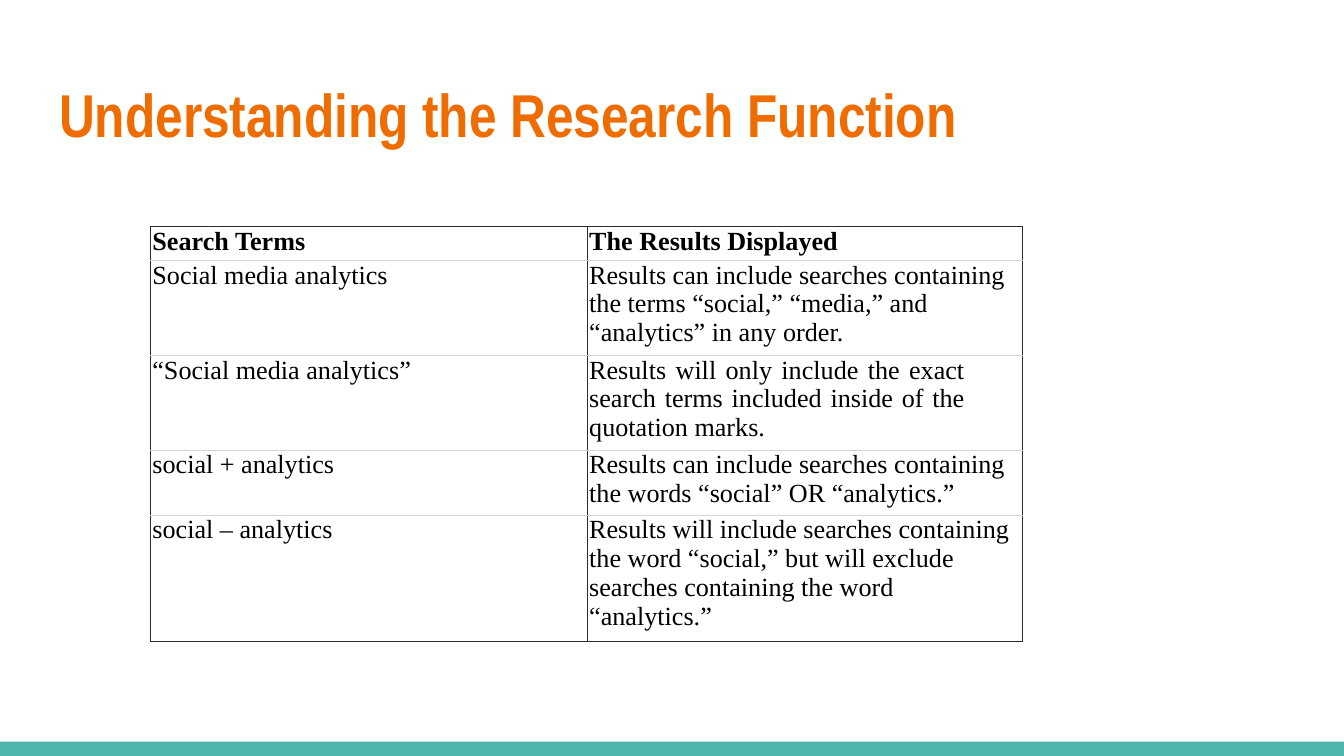
from lxml.etree import SubElement
from pptx import Presentation
from pptx.dml.color import RGBColor
from pptx.enum.shapes import MSO_SHAPE as Shape
from pptx.enum.text import MSO_ANCHOR as Anchor, PP_ALIGN as Align
from pptx.oxml.ns import qn
from pptx.util import Inches, Pt

COLORS = {
    "title": "EF6C00",
    "bar": "4DB6AC",
    "text": "000000",
    "outline": "2B2B2B",
    "rule": "D4D4D4",
}
TITLE_FONT, BODY_FONT = "Arial Narrow", "Times New Roman"

# Percent of the slide's width and height
COLUMNS = [32.5, 32.4]
ROWS = [
    (4.5, "Search Terms", "The Results Displayed"),
    (12.57, "Social media analytics",
     "Results can include searches containing the terms “social,” “media,” "
     "and “analytics” in any order."),
    (12.57, "“Social media analytics”",
     "Results will only include the exact search terms included inside of "
     "the quotation marks."),
    (8.57, "social + analytics",
     "Results can include searches containing the words “social” OR "
     "“analytics.”"),
    (16.7, "social – analytics",
     "Results will include searches containing the word “social,” but will "
     "exclude searches containing the word “analytics.”"),
]
JUSTIFIED = (2, 1)


class Deck:
    """Slide style; every position and size is a percent of the slide."""

    def __init__(self, width, height):
        self.prs = Presentation()
        self.prs.slide_width = Inches(width)
        self.prs.slide_height = Inches(height)
        self.s = self.prs.slides.add_slide(self.prs.slide_layouts[6])

    def x(self, share):
        return round(self.prs.slide_width * share / 100)

    def y(self, share):
        return round(self.prs.slide_height * share / 100)

    def box(self, left, top, width, height):
        return self.x(left), self.y(top), self.x(width), self.y(height)

    def run(self, p, text, size, font, color, bold=False):
        r = p.add_run()
        r.text = text
        r.font.size, r.font.name, r.font.bold = Pt(size), font, bold
        r.font.color.rgb = RGBColor.from_string(COLORS[color])

    def bar(self, *area):
        sp = self.s.shapes.add_shape(Shape.RECTANGLE, *self.box(*area))
        sp.shadow.inherit = False
        sp.fill.solid()
        sp.fill.fore_color.rgb = RGBColor.from_string(COLORS["bar"])
        sp.line.fill.background()

    def title(self, text, *area):
        tf = self.s.shapes.add_textbox(*self.box(*area)).text_frame
        tf.word_wrap = True
        tf.vertical_anchor = Anchor.MIDDLE
        tf.margin_left = tf.margin_right = Inches(0.1)
        tf.margin_top = tf.margin_bottom = Inches(0.1)
        p = tf.paragraphs[0]
        p.line_spacing = 0.95
        self.run(p, text, 32.4, TITLE_FONT, "title", True)

    def borders(self, cell, **sides):
        """Draw cell borders; sides must come in the order L, R, T, B."""
        tc_pr = cell._tc.get_or_add_tcPr()
        for i, (side, color) in enumerate(sides.items()):
            ln = SubElement(tc_pr, qn(f"a:ln{side}"), w=str(Pt(0.75)))
            fill = SubElement(ln, qn("a:solidFill"))
            SubElement(fill, qn("a:srgbClr"), val=COLORS[color])
            tc_pr.insert(i, ln)

    def cell(self, cell, text, bold, justified, space_before):
        cell.fill.background()
        cell.margin_left = cell.margin_right = 0
        cell.margin_top = cell.margin_bottom = 0
        p = cell.text_frame.paragraphs[0]
        p.space_before = Pt(space_before)
        p_pr = p._p.get_or_add_pPr()
        p_pr.set("marL", str(Pt(1)))
        p_pr.set("indent", "0")
        if justified:
            p.alignment = Align.JUSTIFY
            p_pr.set("marR", str(Inches(0.43)))
        self.run(p, text, 14, BODY_FONT, "text", bold)

    def table(self, left, top, columns, rows):
        area = self.box(left, top, sum(columns), sum(row[0] for row in rows))
        table = self.s.shapes.add_table(len(rows), len(columns), *area).table
        table.first_row = table.horz_banding = False
        for column, width in zip(table.columns, columns):
            column.width = self.x(width)
        last = len(rows) - 1
        for i, (height, *texts) in enumerate(rows):
            table.rows[i].height = self.y(height)
            for j, text in enumerate(texts):
                cell = table.cell(i, j)
                space = 0.2 if i and j else 0.6
                self.cell(cell, text, i == 0, (i, j) == JUSTIFIED, space)
                self.borders(cell, L="outline", R="outline",
                             T="rule" if i else "outline",
                             B="outline" if i == last else "rule")


def main():
    deck = Deck(10, 10 * 9 / 16)
    deck.bar(0, 98.1, 100, 1.9)
    deck.title("Understanding the Research Function", 3.42, 8.65, 93.2, 13.7)
    deck.table(11.2, 30, COLUMNS, ROWS)
    deck.prs.save("out.pptx")


if __name__ == "__main__":
    main()
